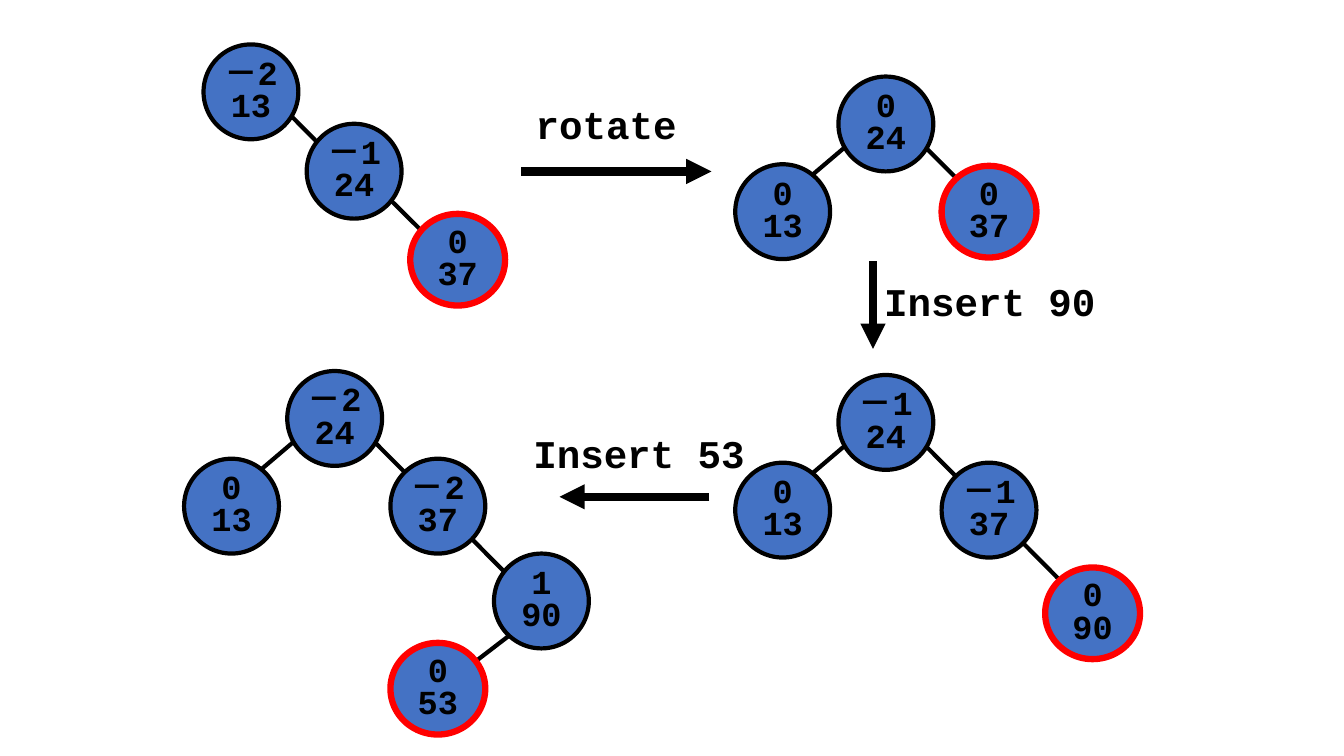
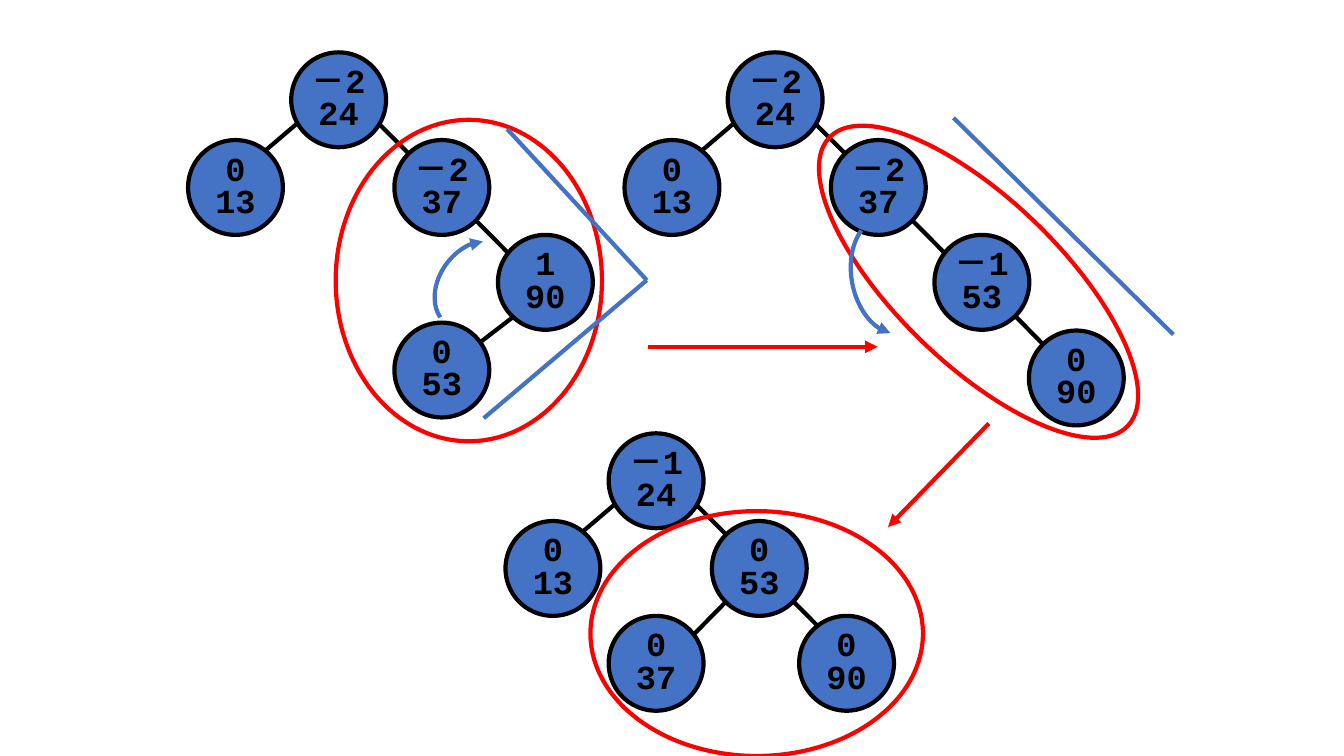
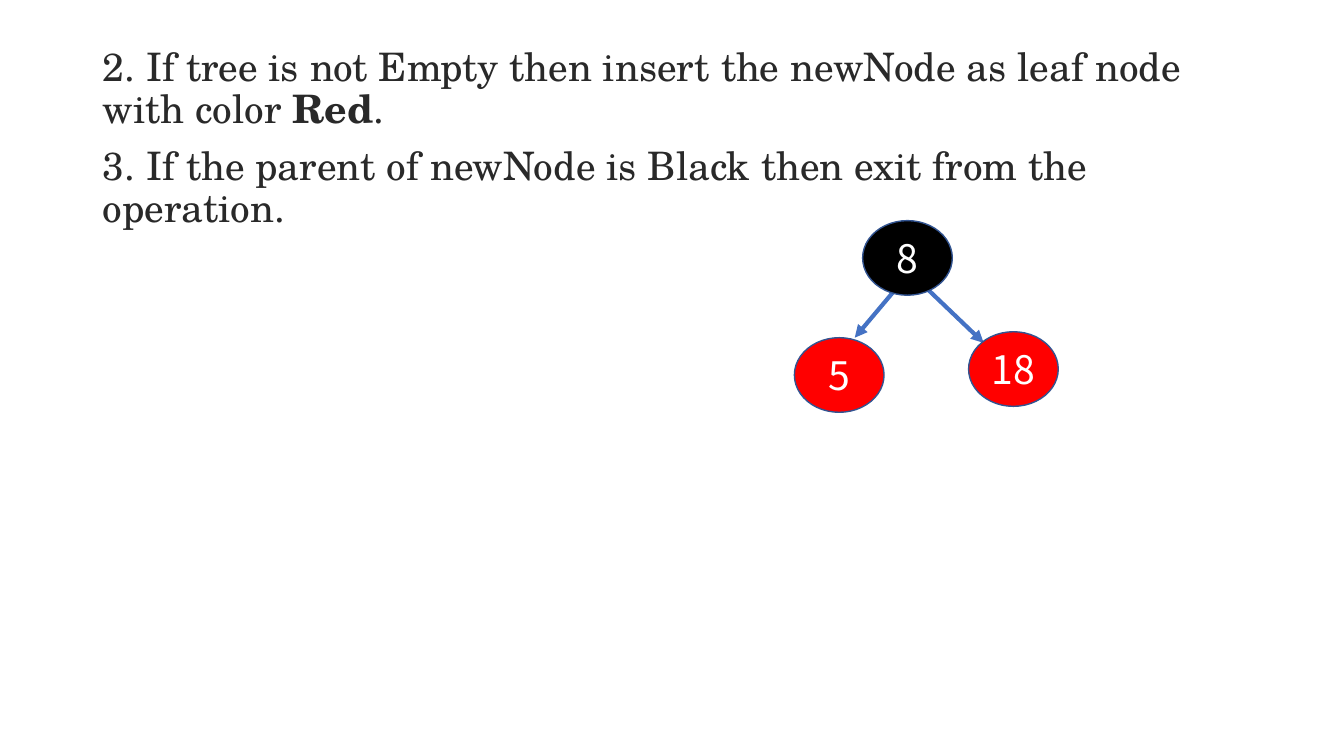
from typing import NamedTuple, Optional

from pptx import Presentation
from pptx.dml.color import RGBColor
from pptx.enum.shapes import MSO_CONNECTOR as Link, MSO_SHAPE as Kind
from pptx.enum.text import MSO_ANCHOR as Anchor, PP_ALIGN as Align
from pptx.oxml.ns import qn
from pptx.oxml.xmlchemy import OxmlElement as Element
from pptx.util import Cm, Pt

# Colours and fonts
BLACK = RGBColor(0x00, 0x00, 0x00)
WHITE = RGBColor(0xFF, 0xFF, 0xFF)
RED = RGBColor(0xFF, 0x00, 0x00)
BLUE = RGBColor(0x44, 0x72, 0xC4)
NAVY = RGBColor(0x32, 0x54, 0x91)
GREY = RGBColor(0x29, 0x29, 0x29)
MONO, SANS, SERIF = "Courier New", "Noto Sans CJK SC", "TeX Gyre Schola"

# Node sizes in cm; a new node is a little flatter
SIDE, FLAT = 2.39, 2.31


class Box(NamedTuple):
    x: float
    y: float
    w: float
    h: float


class Line(NamedTuple):
    x1: float
    y1: float
    x2: float
    y2: float


class Spot(NamedTuple):
    """A place in a tree and the edge above it, both relative to the root."""
    x: float
    y: float
    edge: Optional[Line] = None


class Node(NamedTuple):
    spot: str
    bal: str
    key: str
    new: bool = False


class Tree(NamedTuple):
    x: float
    y: float
    nodes: list[Node]


class Label(NamedTuple):
    text: str
    box: Box


class Arc(NamedTuple):
    box: Box
    turn: float
    end: str


class Ball(NamedTuple):
    text: str
    x: float
    y: float
    fill: RGBColor


DOWN = Line(4.6, 4.18, 5.59, 5.18)
SPOTS = {
    "root": Spot(0, 0),
    "left": Spot(-2.6, 2.21, Line(0.61, 1.4, -0.79, 2.59)),
    "right": Spot(2.6, 2.21, Line(2.01, 1.6, 3, 2.59)),
    "far": Spot(5.21, 4.6, DOWN),
    "deep": Spot(5.21, 4.81, DOWN),
    "near": Spot(4.8, 4.6, DOWN),
    "inner": Spot(0, 4.6, Line(3.58, 3.61, 1.4, 5.82)),
    "hook": Spot(2.6, 6.81, Line(6.2, 6.2, 4.39, 7.59)),
    "last": Spot(7.59, 7.01, Line(6.81, 6.2, 8.38, 7.8)),
    "mid": Spot(2.6, 2, Line(2.01, 1.6, 3, 2.6)),
    "end": Spot(5.21, 4.23, Line(4.6, 3.81, 5.6, 4.8)),
}

# Slide 1: insertions
GROWTH = [
    Tree(5.13, 1.12, [Node("root", "－2", "13"), Node("mid", "－1", "24"),
                      Node("end", "0", "37", True)]),
    Tree(21.13, 1.93, [Node("left", "0", "13"), Node("root", "0", "24"),
                       Node("right", "0", "37", True)]),
    Tree(21.13, 9.45, [Node("left", "0", "13"), Node("root", "－1", "24"),
                       Node("right", "－1", "37"),
                       Node("deep", "0", "90", True)]),
    Tree(7.24, 9.35, [Node("left", "0", "13"), Node("root", "－2", "24"),
                      Node("right", "－2", "37"), Node("far", "1", "90"),
                      Node("hook", "0", "53", True)]),
]
STEPS = [Line(13.13, 4.32, 17.93, 4.32), Line(22, 6.58, 22, 8.79),
         Line(17.88, 12.52, 14.1, 12.52)]
LABELS = [
    Label("rotate", Box(13.23, 2.44, 4.09, 1.5)),
    Label("Insert 90", Box(22, 6.88, 5.89, 1.5)),
    Label("Insert 53", Box(13.16, 10.72, 5.89, 1.5)),
]

# Slide 2: double rotation
TURNS = [
    Tree(7.34, 1.32, [Node("left", "0", "13"), Node("root", "－2", "24"),
                      Node("right", "－2", "37"), Node("far", "1", "90"),
                      Node("hook", "0", "53")]),
    Tree(18.34, 1.32, [Node("left", "0", "13"), Node("root", "－2", "24"),
                       Node("right", "－2", "37"), Node("far", "－1", "53"),
                       Node("last", "0", "90")]),
    Tree(15.34, 10.92, [Node("left", "0", "13"), Node("root", "－1", "24"),
                        Node("right", "0", "53"), Node("inner", "0", "37"),
                        Node("near", "0", "90")]),
]
LOOPS = [(Box(8.46, 3.02, 6.71, 8.1), 0), (Box(19.43, 5.03, 10.46, 4.14), 44.1),
         (Box(14.88, 12.88, 8.38, 6.17), 0)]
MOVES = [Line(16.33, 8.74, 22.12, 8.74), Line(24.92, 10.67, 22.38, 13.28)]
ARCS = [Arc(Box(11.07, 5.99, 1.75, 2.39), 34.8, "a:tailEnd"),
        Arc(Box(21.46, 5.46, 2.01, 2.97), 349.6, "a:headEnd")]
BENDS = [Line(12.78, 3.25, 16.3, 7.06), Line(16.3, 7.06, 12.19, 10.54),
         Line(24.03, 2.97, 29.57, 8.43)]

# Slide 3: red and black nodes
RULES = [
    [("2. If tree is not Empty then insert the newNode as leaf node"
      " with color ", False), ("Red", True), (".", False)],
    [("3. If the parent of newNode is Black then exit from the operation.",
      False)],
]
BALLS = [Ball("18", 24.41, 8.36, RED), Ball("8", 21.74, 5.56, BLACK),
         Ball("5", 20.02, 8.51, RED)]
FORKS = [Line(23.19, 7.11, 24.79, 8.64), Line(22.5, 7.37, 21.54, 8.51)]


def cms(vals) -> list:
    return [Cm(v) for v in vals]


def write(para, text: str, *, font: str, size: float, color: RGBColor,
          bold: bool = False, align=Align.CENTER, space=None, before=None):
    """Add a run of text to a paragraph and set the format of both."""
    run = para.add_run()
    run.text = text
    run.font.name, run.font.size = font, Pt(size)
    run.font.bold, run.font.color.rgb = bold, color
    para.alignment = align
    if space is not None:
        para.line_spacing = space
    if before is not None:
        para.space_before = Pt(before)


def pad(frame, left: float, top: float, right: float, base: float):
    frame.margin_left, frame.margin_top = Cm(left), Cm(top)
    frame.margin_right, frame.margin_bottom = Cm(right), Cm(base)


def rows(frame, count: int) -> list:
    return [frame.paragraphs[0]] + [frame.add_paragraph()
                                    for _ in range(count - 1)]


def tip(item, end: str):
    """Put an arrowhead on one end of a line."""
    head = Element(end)
    head.set("type", "triangle")
    item.element.spPr.find(qn("a:ln")).append(head)


def stroke(slide, line: Line, color: RGBColor, width: float = 3,
           arrow: bool = False):
    item = slide.shapes.add_connector(Link.STRAIGHT, *cms(line))
    item.line.color.rgb, item.line.width = color, Pt(width)
    if arrow:
        tip(item, "a:tailEnd")
    item.element.spPr.append(Element("a:effectLst"))


def figure(slide, kind, box: Box, color: RGBColor, width: float = 3,
           fill: Optional[RGBColor] = None, turn: float = 0):
    item = slide.shapes.add_shape(kind, *cms(box))
    item.shadow.inherit = False
    item.rotation = turn
    item.line.color.rgb, item.line.width = color, Pt(width)
    if fill is None:
        item.fill.background()
    else:
        item.fill.solid()
        item.fill.fore_color.rgb = fill
    return item


def disc(slide, box: Box, lines: list[str], fill: RGBColor, rim: RGBColor,
         width: float, **form):
    """Draw an ellipse with centred lines of text."""
    frame = figure(slide, Kind.OVAL, box, rim, width, fill).text_frame
    frame.vertical_anchor = Anchor.MIDDLE
    pad(frame, 0, 0, 0, 0)
    for para, text in zip(rows(frame, len(lines)), lines):
        write(para, text, **form)


def plant(slide, tree: Tree):
    """Draw the edges of a tree, then its nodes."""
    for node in tree.nodes:
        edge = SPOTS[node.spot].edge
        if edge:
            stroke(slide, Line(tree.x + edge.x1, tree.y + edge.y1,
                               tree.x + edge.x2, tree.y + edge.y2), BLACK)
    for node in tree.nodes:
        spot = SPOTS[node.spot]
        high = FLAT if node.new else SIDE
        box = Box(tree.x + spot.x, tree.y + spot.y + (SIDE - high) / 2,
                  SIDE, high)
        disc(slide, box, [node.bal, node.key], BLUE,
             RED if node.new else BLACK, 4.5 if node.new else 3,
             font=MONO, size=24, color=BLACK, bold=True, space=0.8)


def grow(slide):
    for tree in GROWTH:
        plant(slide, tree)
    for step in STEPS:
        stroke(slide, step, BLACK, 6, True)
    for label in LABELS:
        frame = slide.shapes.add_textbox(*cms(label.box)).text_frame
        frame.word_wrap = False
        pad(frame, 0.25, 0.1, 0.25, 0.2)
        write(frame.paragraphs[0], label.text, font=MONO, size=28,
              color=BLACK, bold=True, before=5)


def rotate(slide):
    for tree in TURNS:
        plant(slide, tree)
    for box, turn in LOOPS:
        figure(slide, Kind.OVAL, box, RED, turn=turn)
    for move in MOVES:
        stroke(slide, move, RED, arrow=True)
    for arc in ARCS:
        item = figure(slide, Kind.ARC, arc.box, BLUE, turn=arc.turn)
        item.adjustments[0], item.adjustments[1] = 60.8, 148.06
        tip(item, arc.end)
    for bend in BENDS:
        stroke(slide, bend, BLUE)


def paint(slide):
    for fork in FORKS:
        stroke(slide, fork, BLUE, arrow=True)
    for ball in BALLS:
        disc(slide, Box(ball.x, ball.y, 2.26, 1.88), [ball.text], ball.fill,
             NAVY, 1, font=SANS, size=28, color=WHITE)
    frame = slide.shapes.add_textbox(
        *cms(Box(2.34, 1.07, 29.21, 13.16))).text_frame
    frame.word_wrap = True
    pad(frame, 0.25, 0.13, 0.25, 0.13)
    for para, runs in zip(rows(frame, len(RULES)), RULES):
        for text, bold in runs:
            write(para, text, font=SERIF, size=28, color=GREY, bold=bold,
                  align=Align.LEFT, space=0.9, before=10)


def main():
    deck = Presentation()
    deck.slide_width, deck.slide_height = Cm(33.87), Cm(19.05)
    for draw in (grow, rotate, paint):
        draw(deck.slides.add_slide(deck.slide_layouts[6]))
    deck.save("out.pptx")


if __name__ == "__main__":
    main()
